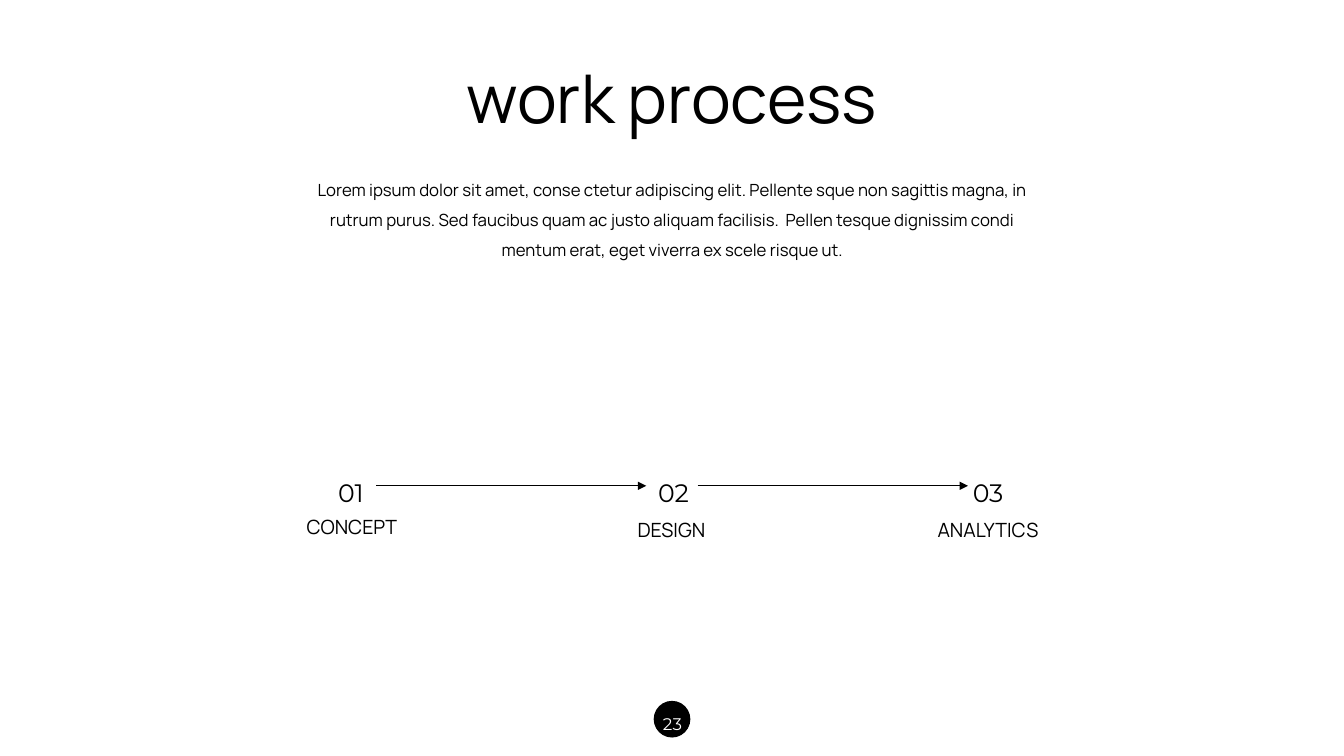
import pptx
import pptx.dml.color
import pptx.enum.shapes
import pptx.enum.text
import pptx.oxml
import pptx.oxml.ns
import pptx.util
from dataclasses import dataclass
from pptx.util import Inches

# Content
TITLE = "work process"
INTRO = (
    "Lorem ipsum dolor sit amet, conse ctetur adipiscing elit. Pellente sque non "
    "sagittis magna, in rutrum purus. Sed faucibus quam ac justo aliquam facilisis.  "
    "Pellen tesque dignissim condi mentum erat, eget viverra ex scele risque ut."
)
PAGE_NUMBER = "23"
# number, number centre, label, label centre, label top
STEPS = [
    ("01", 3.48, "CONCEPT", 3.49, 5.06),
    ("02", 6.68, "DESIGN", 6.66, 5.09),
    ("03", 9.8, "ANALYTICS", 9.8, 5.09),
]
ARROW_STARTS = [3.73, 6.92]
ARROW_TOP = 4.82
ARROW_LENGTH = 2.68


@dataclass(frozen=True)
class Theme:
    ink: pptx.dml.color.RGBColor = pptx.dml.color.RGBColor(0, 0, 0)
    paper: pptx.dml.color.RGBColor = pptx.dml.color.RGBColor(255, 255, 255)
    text_font: str = "Manrope"
    number_font: str = "Montserrat"
    title_size: int = 48
    body_size: int = 12
    number_size: int = 18
    label_size: int = 14
    badge_line: float = 1
    arrow_line: float = 0.75


THEME = Theme()


def place(shape, left, top, width, height):
    shape.left, shape.top = Inches(left), Inches(top)
    shape.width, shape.height = Inches(width), Inches(height)


def write(box, text, size, font=THEME.text_font, color=THEME.ink, spacing=1.0):
    frame = box.text_frame
    frame.text = text
    frame.word_wrap = True
    frame.auto_size = pptx.enum.text.MSO_AUTO_SIZE.SHAPE_TO_FIT_TEXT
    frame.vertical_anchor = pptx.enum.text.MSO_ANCHOR.TOP
    para = frame.paragraphs[0]
    para.alignment = pptx.enum.text.PP_ALIGN.CENTER
    para.line_spacing = spacing
    para.space_before = pptx.util.Pt(0)
    # No bullet or hanging indent
    properties = para._p.get_or_add_pPr()
    properties.set("marL", "0")
    properties.set("indent", "0")
    properties.append(pptx.oxml.parse_xml(f'<a:buNone {pptx.oxml.ns.nsdecls("a")}/>'))
    span = para.runs[0]
    span.font.size = pptx.util.Pt(size)
    span.font.name = font
    span.font.color.rgb = color


def add_text(page, center, top, width, height, *args, **style):
    box = page.shapes.add_textbox(0, 0, 0, 0)
    place(box, center - width / 2, top, width, height)
    write(box, *args, **style)


def add_arrow(page, left):
    arrow = page.shapes.add_connector(
        pptx.enum.shapes.MSO_CONNECTOR.STRAIGHT,
        Inches(left), Inches(ARROW_TOP), Inches(left + ARROW_LENGTH), Inches(ARROW_TOP))
    arrow.line.color.rgb = THEME.ink
    arrow.line.width = pptx.util.Pt(THEME.arrow_line)
    head = pptx.oxml.parse_xml(
        f'<a:tailEnd {pptx.oxml.ns.nsdecls("a")} type="triangle"/>')
    arrow.line._get_or_add_ln().append(head)
    arrow._element.spPr.append(
        pptx.oxml.parse_xml(f'<a:effectLst {pptx.oxml.ns.nsdecls("a")}/>'))


def main():
    deck = pptx.Presentation()
    deck.slide_width, deck.slide_height = Inches(13.33), Inches(7.5)
    page = deck.slides.add_slide(deck.slide_layouts[1])
    page.background.fill.solid()
    page.background.fill.fore_color.rgb = THEME.paper

    # Title and introduction
    title, intro = page.shapes.title, page.placeholders[1]
    place(title, 4.08, 0.51, 5.17, 0.91)
    write(title, TITLE, THEME.title_size)
    place(intro, 2.91, 1.63, 7.52, 1.01)
    write(intro, INTRO, THEME.body_size, spacing=1.5)

    # Page number badge
    badge = page.shapes.add_shape(
        pptx.enum.shapes.MSO_SHAPE.OVAL,
        Inches(6.49), Inches(6.96), Inches(0.35), Inches(0.35))
    badge.shadow.inherit = False
    badge.fill.solid()
    badge.fill.fore_color.rgb = THEME.ink
    badge.line.color.rgb = THEME.ink
    badge.line.width = pptx.util.Pt(THEME.badge_line)
    add_text(page, 6.67, 6.93, 0.5, 0.37, PAGE_NUMBER, THEME.body_size,
             font=THEME.number_font, color=THEME.paper, spacing=1.5)

    # Steps
    for number, number_center, label, label_center, label_top in STEPS:
        add_text(page, number_center, 4.54, 0.55, 0.56, number, THEME.number_size,
                 font=THEME.number_font, spacing=1.5)
        add_text(page, label_center, label_top, 1.36, 0.34, label, THEME.label_size)

    # Arrows between steps
    for left in ARROW_STARTS:
        add_arrow(page, left)

    deck.save("out.pptx")


if __name__ == "__main__":
    main()
